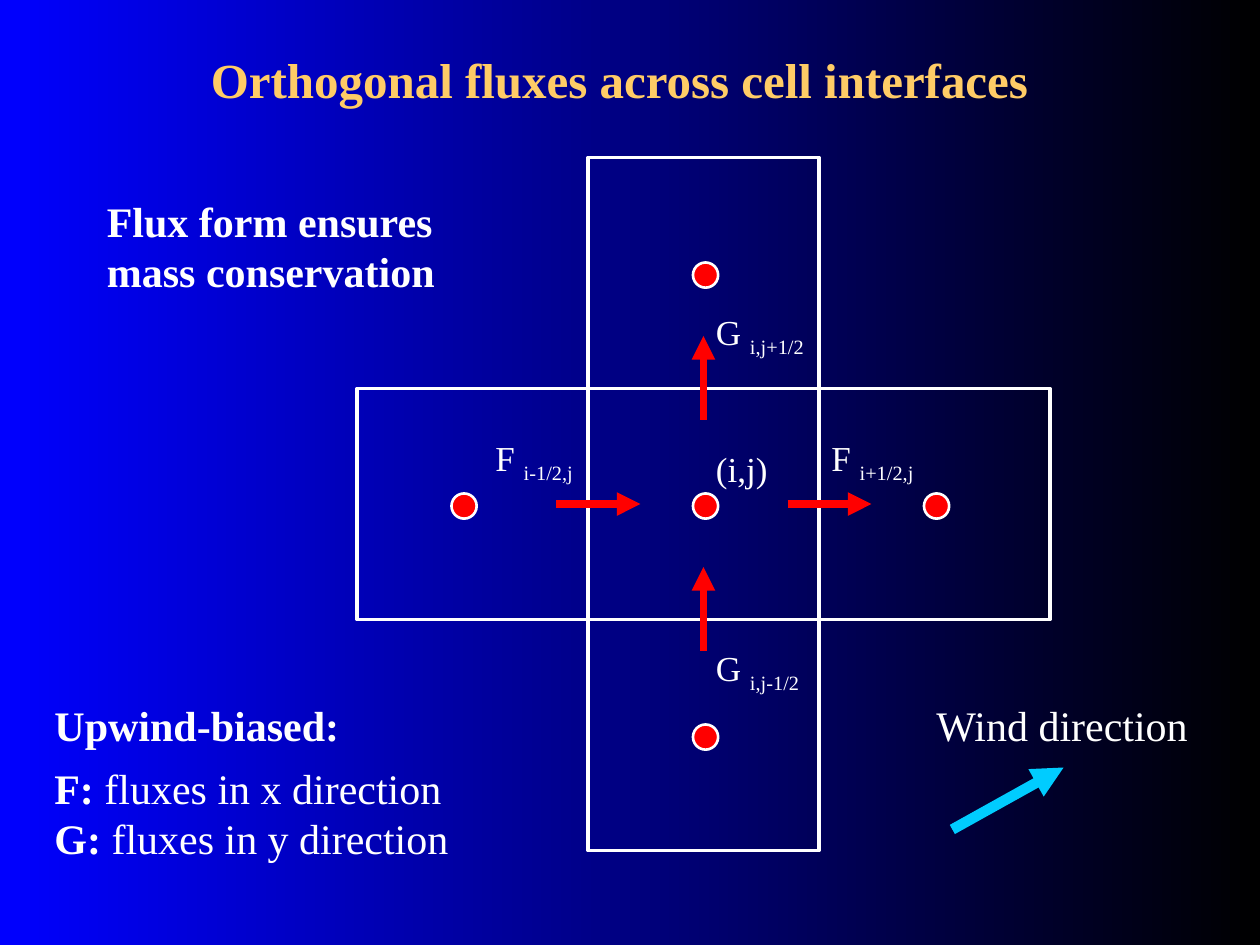
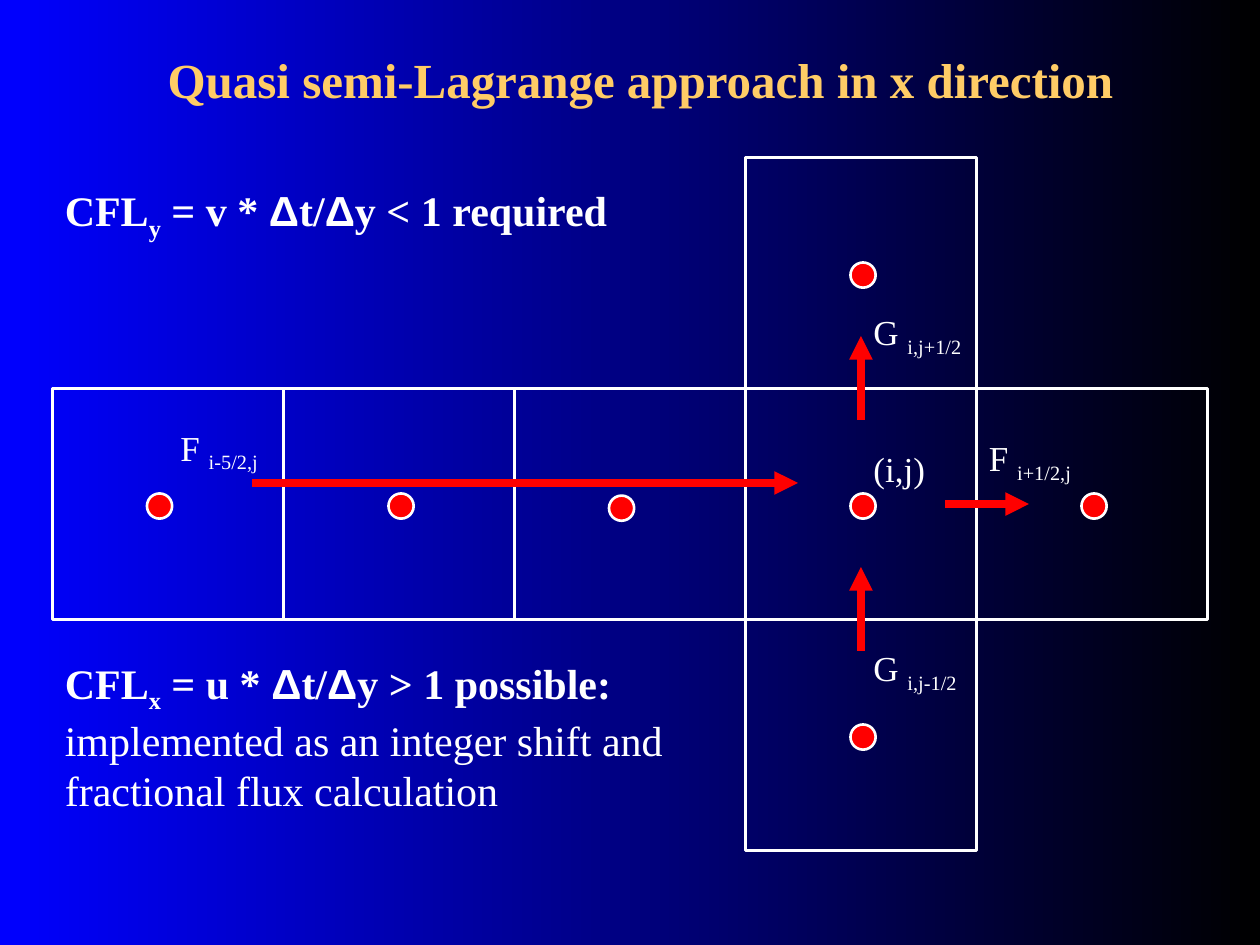
import pptx
import pptx.util
import pptx.dml.color
import pptx.enum.shapes
import pptx.enum.text
import pptx.oxml
import pptx.oxml.ns

RGB = pptx.dml.color.RGBColor
BLUE = RGB(0x00, 0x00, 0xFF)
BLACK = RGB(0x00, 0x00, 0x00)
WHITE = RGB(0xFF, 0xFF, 0xFF)
GOLD = RGB(0xFF, 0xCC, 0x66)
RED = RGB(0xFF, 0x00, 0x00)
CYAN = RGB(0x00, 0xCC, 0xFF)

SERIF = "Times New Roman"
SANS = "Arial"
COLS, ROWS = 120, 90
CELL = 22
DOT = 2.4
SHAPE = pptx.enum.shapes.MSO_SHAPE
ALIGN = pptx.enum.text.PP_ALIGN
Pt = pptx.util.Pt


def grid(*units):
    return [pptx.util.Inches(10 / COLS * unit) for unit in units]


def style(run, size, color, marks=""):
    font = run.font
    font.name = SANS if "sans" in marks else SERIF
    font.size = Pt(size)
    font.bold = "bold" in marks
    font.color.rgb = color
    if "sub" in marks:
        run._r.get_or_add_rPr().set("baseline", "-25000")


def write(slide, box, lines, size, align=ALIGN.LEFT):
    frame = slide.shapes.add_textbox(*grid(*box)).text_frame
    frame.word_wrap = True
    frame.auto_size = pptx.enum.text.MSO_AUTO_SIZE.SHAPE_TO_FIT_TEXT
    para = frame.paragraphs[0]
    para.alignment = align
    for row, parts in enumerate(lines):
        if row:
            para.add_line_break()
        for text, marks in parts:
            run = para.add_run()
            run.text = text
            style(run, size, WHITE, marks)


def outline(slide, kind, box, width, fill=None):
    shape = slide.shapes.add_shape(kind, *grid(*box))
    shape.shadow.inherit = False
    if fill is None:
        shape.fill.background()
    else:
        shape.fill.solid()
        shape.fill.fore_color.rgb = fill
    shape.line.color.rgb = WHITE
    shape.line.width = Pt(width)


def arrow(slide, ends, color=RED, width=4.5):
    kind = pptx.enum.shapes.MSO_CONNECTOR.STRAIGHT
    link = slide.shapes.add_connector(kind, *grid(*ends))
    link.line.color.rgb = color
    link.line.width = Pt(width)
    ns = pptx.oxml.ns.nsdecls("a")
    head = pptx.oxml.parse_xml(f'<a:tailEnd {ns} type="triangle"/>')
    link.line._get_or_add_ln().append(head)
    link._element.spPr.append(pptx.oxml.parse_xml(f"<a:effectLst {ns}/>"))


def titled(deck, text, left):
    slide = deck.slides.add_slide(deck.slide_layouts[5])
    title = slide.shapes.title
    title.left, title.top, title.width, title.height = grid(left, 0, 110, 15)
    frame = title.text_frame
    frame.text = text
    frame.vertical_anchor = pptx.enum.text.MSO_ANCHOR.MIDDLE
    frame.paragraphs[0].alignment = ALIGN.CENTER
    style(frame.paragraphs[0].runs[0], 28, GOLD, "bold")
    return slide


def stencil(slide, left, top, west, inflow, source):
    spots = [(0, -1), (0, 0), (0, 1), (1, 0)]
    spots += [(-step, 0) for step in range(1, len(west) + 1)]
    for col, row in spots:
        box = (left + col * CELL, top + row * CELL, CELL, CELL)
        outline(slide, SHAPE.RECTANGLE, box, 2)
    dots = [(10, -12), (10, 10), (10, 32), (32, 10)] + west
    for x, y in dots:
        outline(slide, SHAPE.OVAL, (left + x, top + y, DOT, DOT), 1.5, RED)
    flows = [(11, 25, 11, 17), (11, 3, 11, -5), (19, 11, 27, 11), inflow]
    for x, y, end, stop in flows:
        arrow(slide, (left + x, top + y, left + end, top + stop))
    labels = [
        (11, 24, "G ", "i,j-1/2"),
        (11, -8, "G ", "i,j+1/2"),
        (22, 4, "F ", "i+1/2,j"),
        (11, 5, "(i,j)", ""),
        source,
    ]
    for x, y, name, index in labels:
        parts = [(name, "")] + ([(index, "sub")] if index else [])
        write(slide, (left + x, top + y, 14, 5.8), [parts], 20)


def limit(axis, speed, claim):
    return [
        ("CFL", "bold"), (axis, "bold sub"), (f" = {speed} * ", "bold"),
        ("Δ", "bold sans"), ("t/", "bold"), ("Δ", "bold sans"),
        (f"y {claim}", "bold"),
    ]


def fluxes(deck):
    slide = titled(deck, "Orthogonal fluxes across cell interfaces", 4)
    stencil(slide, 56, 37, [(-13, 10)], (-3, 11, 5, 11),
            (-10, 4, "F ", "i-1/2,j"))
    write(slide, (9, 18, 36, 10.8),
          [[("Flux form ensures mass conservation", "bold")]], 24)
    write(slide, (4, 66, 32, 6), [[("Upwind-biased:", "bold")]], 24)
    write(slide, (4, 72, 41, 10.8), [
        [("F:", "bold"), (" fluxes in x direction", "")],
        [("G:", "bold"), (" fluxes in y direction", "")],
    ], 24)
    write(slide, (88, 66, 32, 6), [[("Wind direction", "")]], 24)
    arrow(slide, (90.7, 79, 101.3, 73.1), CYAN, 6)


def shift(deck):
    slide = titled(deck, "Quasi semi-Lagrange approach in x direction", 6)
    stencil(slide, 71, 37, [(-13, 10.2), (-34, 10), (-57, 10)],
            (-47, 9, 5, 9), (-55, 3, "F ", "i-5/2,j"))
    write(slide, (3, 17, 58, 6.7), [limit("y", "v", "< 1 required")], 24,
          ALIGN.CENTER)
    note = "implemented as an integer shift and fractional flux calculation"
    write(slide, (5, 62, 61.5, 16.3),
          [limit("x", "u", "> 1 possible:"), [(note, "")]], 24)


def main():
    deck = pptx.Presentation()
    deck.slide_width, deck.slide_height = grid(COLS, ROWS)
    fill = deck.slide_master.background.fill
    fill.gradient()
    fill.gradient_angle = 0
    for stop, color, place in zip(fill.gradient_stops, (BLUE, BLACK), (0, 1)):
        stop.color.rgb = color
        stop.position = place
    fluxes(deck)
    shift(deck)
    deck.save("out.pptx")


if __name__ == "__main__":
    main()
